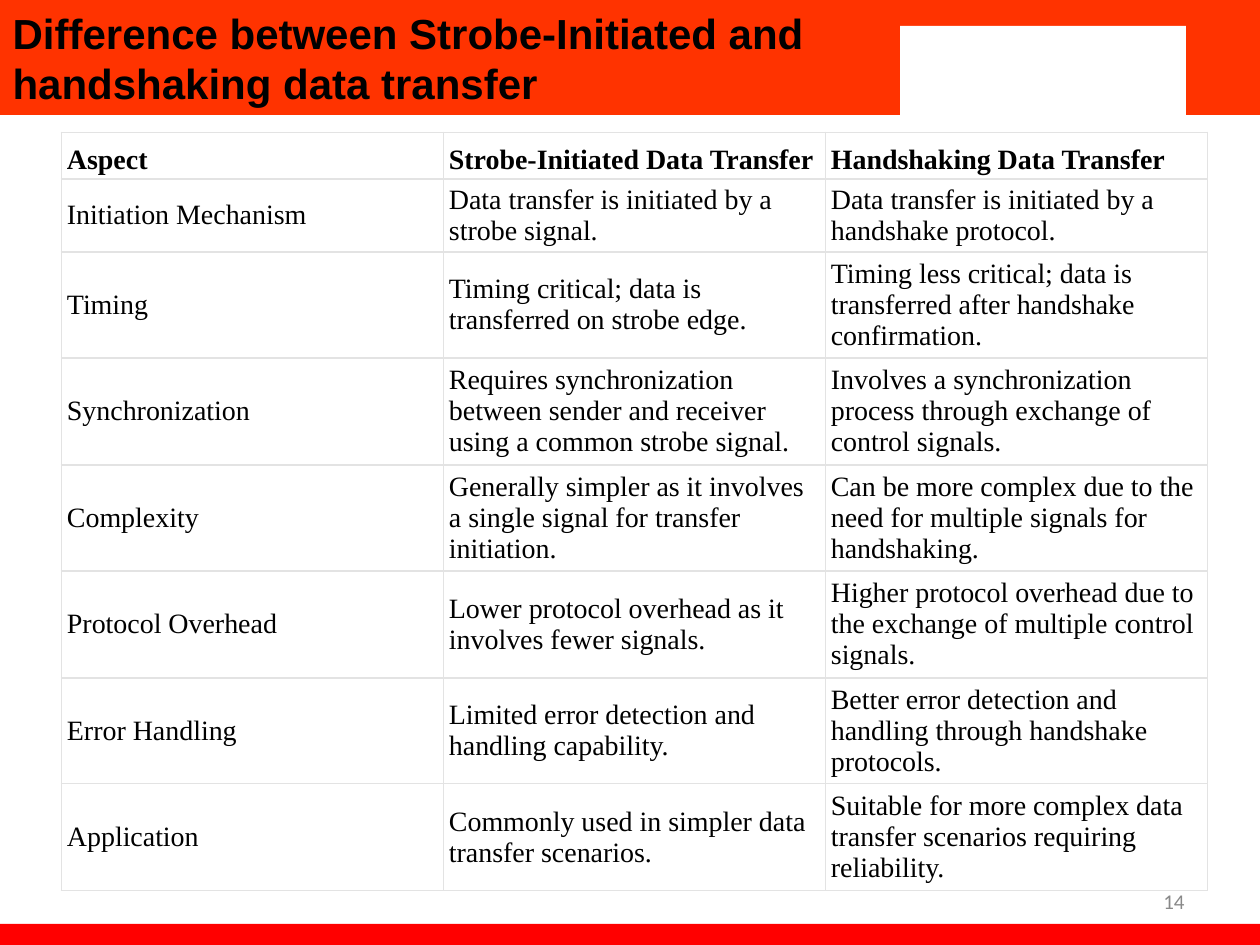
from typing import NamedTuple

from lxml import etree
from pptx import Presentation
from pptx.dml.color import RGBColor
from pptx.enum.shapes import MSO_SHAPE
from pptx.enum.text import MSO_ANCHOR, PP_ALIGN
from pptx.oxml.ns import qn
from pptx.util import Emu, Pt

RECTANGLE = MSO_SHAPE.RECTANGLE
MIDDLE, BOTTOM = MSO_ANCHOR.MIDDLE, MSO_ANCHOR.BOTTOM
LEFT, RIGHT = PP_ALIGN.LEFT, PP_ALIGN.RIGHT

ORANGE = RGBColor(0xFF, 0x33, 0x00)
RED = RGBColor(0xFF, 0x00, 0x00)
WHITE = RGBColor(0xFF, 0xFF, 0xFF)
BLACK = RGBColor(0x00, 0x00, 0x00)
GREY = RGBColor(0x89, 0x89, 0x89)
GRID = RGBColor(0xE3, 0xE3, 0xE3)

EMU_PER_PX = 914400 // 126
THIN, THICK = Pt(0.5), Pt(1)

TITLE_FONT = {"name": "Arial", "size": Pt(24), "bold": True}
HEADER_FONT = {"name": "Times New Roman", "size": Pt(16), "bold": True}
BODY_FONT = {**HEADER_FONT, "bold": False}
NUMBER_FONT = {"name": "Calibri", "size": Pt(12), "bold": False}


class Box(NamedTuple):
    left: int
    top: int
    width: int
    height: int


class Band(NamedTuple):
    box: Box
    color: RGBColor


class Row(NamedTuple):
    height: int
    aspect: str
    strobe: str
    handshake: str


BANDS = [
    Band(Box(0, 0, 1260, 115), ORANGE),
    Band(Box(0, 924, 1260, 21), RED),
    Band(Box(900, 26, 286, 94), WHITE),
]
TITLE_BOX = Box(0, 0, 900, 115)
TABLE_BOX = Box(61, 132, 1146, 759)
NUMBER_BOX = Box(903, 876, 294, 50)

ROWS = [
    Row(47, "Aspect", "Strobe-Initiated Data Transfer", "Handshaking Data Transfer"),
    Row(73, "Initiation Mechanism",
        "Data transfer is initiated by a strobe signal.",
        "Data transfer is initiated by a handshake protocol."),
    Row(106, "Timing",
        "Timing critical; data is transferred on strobe edge.",
        "Timing less critical; data is transferred after handshake confirmation."),
    Row(107, "Synchronization",
        "Requires synchronization between sender and receiver using a common strobe signal.",
        "Involves a synchronization process through exchange of control signals."),
    Row(106, "Complexity",
        "Generally simpler as it involves a single signal for transfer initiation.",
        "Can be more complex due to the need for multiple signals for handshaking."),
    Row(107, "Protocol Overhead",
        "Lower protocol overhead as it involves fewer signals.",
        "Higher protocol overhead due to the exchange of multiple control signals."),
    Row(106, "Error Handling",
        "Limited error detection and handling capability.",
        "Better error detection and handling through handshake protocols."),
    Row(107, "Application",
        "Commonly used in simpler data transfer scenarios.",
        "Suitable for more complex data transfer scenarios requiring reliability."),
]


def px(length: int) -> Emu:
    return Emu(length * EMU_PER_PX)


def emu_box(box: Box) -> list[Emu]:
    return [px(length) for length in box]


def write(frame, text: str, font: dict, color: RGBColor, align) -> None:
    frame.text = text
    paragraph = frame.paragraphs[0]
    paragraph.alignment = align
    run_font = paragraph.runs[0].font
    for attribute, value in font.items():
        setattr(run_font, attribute, value)
    run_font.color.rgb = color


def draw_band(slide, band: Band) -> None:
    rectangle = slide.shapes.add_shape(RECTANGLE, *emu_box(band.box))
    rectangle.shadow.inherit = False
    rectangle.fill.solid()
    rectangle.fill.fore_color.rgb = band.color
    rectangle.line.fill.background()


def draw_title(slide, text: str) -> None:
    title = slide.shapes.title
    title.left, title.top, title.width, title.height = emu_box(TITLE_BOX)
    write(title.text_frame, text, TITLE_FONT, BLACK, LEFT)
    title.text_frame.vertical_anchor = MIDDLE
    # Bring the title in front of the bands
    slide.shapes._spTree.append(title._element)


def set_borders(cell, top: Emu, bottom: Emu) -> None:
    properties = cell._tc.get_or_add_tcPr()
    widths = {"a:lnL": THIN, "a:lnR": THIN, "a:lnT": top, "a:lnB": bottom}
    # Border lines come before the fill in the cell properties
    for position, (side, width) in enumerate(widths.items()):
        line = etree.Element(qn(side), w=str(int(width)))
        fill = etree.SubElement(line, qn("a:solidFill"))
        etree.SubElement(fill, qn("a:srgbClr"), val=str(GRID))
        properties.insert(position, line)


def draw_table(slide, rows: list[Row]) -> None:
    columns = len(Row._fields) - 1
    table = slide.shapes.add_table(len(rows), columns, *emu_box(TABLE_BOX)).table
    for column in table.columns:
        column.width = px(TABLE_BOX.width // columns)
    last = len(rows) - 1
    for index, (height, *texts) in enumerate(rows):
        table.rows[index].height = px(height)
        header = index == 0
        cell_format = {
            "margin_left": px(6), "margin_right": px(6),
            "margin_top": px(3), "margin_bottom": px(3),
            "vertical_anchor": BOTTOM if header else MIDDLE,
        }
        for cell, text in zip(table.rows[index].cells, texts):
            write(cell.text_frame, text, HEADER_FONT if header else BODY_FONT, BLACK, LEFT)
            for attribute, value in cell_format.items():
                setattr(cell, attribute, value)
            cell.fill.solid()
            cell.fill.fore_color.rgb = WHITE
            set_borders(cell, THIN if header else THICK, THIN if index == last else THICK)


def draw_number(slide, number: str) -> None:
    frame = slide.shapes.add_textbox(*emu_box(NUMBER_BOX)).text_frame
    frame.word_wrap = True
    frame.vertical_anchor = MIDDLE
    write(frame, number, NUMBER_FONT, GREY, RIGHT)


def main() -> None:
    presentation = Presentation()
    presentation.slide_width, presentation.slide_height = px(1260), px(945)
    slide = presentation.slides.add_slide(presentation.slide_layouts[5])

    # Header and footer bands
    for band in BANDS:
        draw_band(slide, band)

    # Title, comparison table and slide number
    draw_title(slide, "Difference between Strobe-Initiated and handshaking data transfer")
    draw_table(slide, ROWS)
    draw_number(slide, "14")
    presentation.save("out.pptx")


if __name__ == "__main__":
    main()
